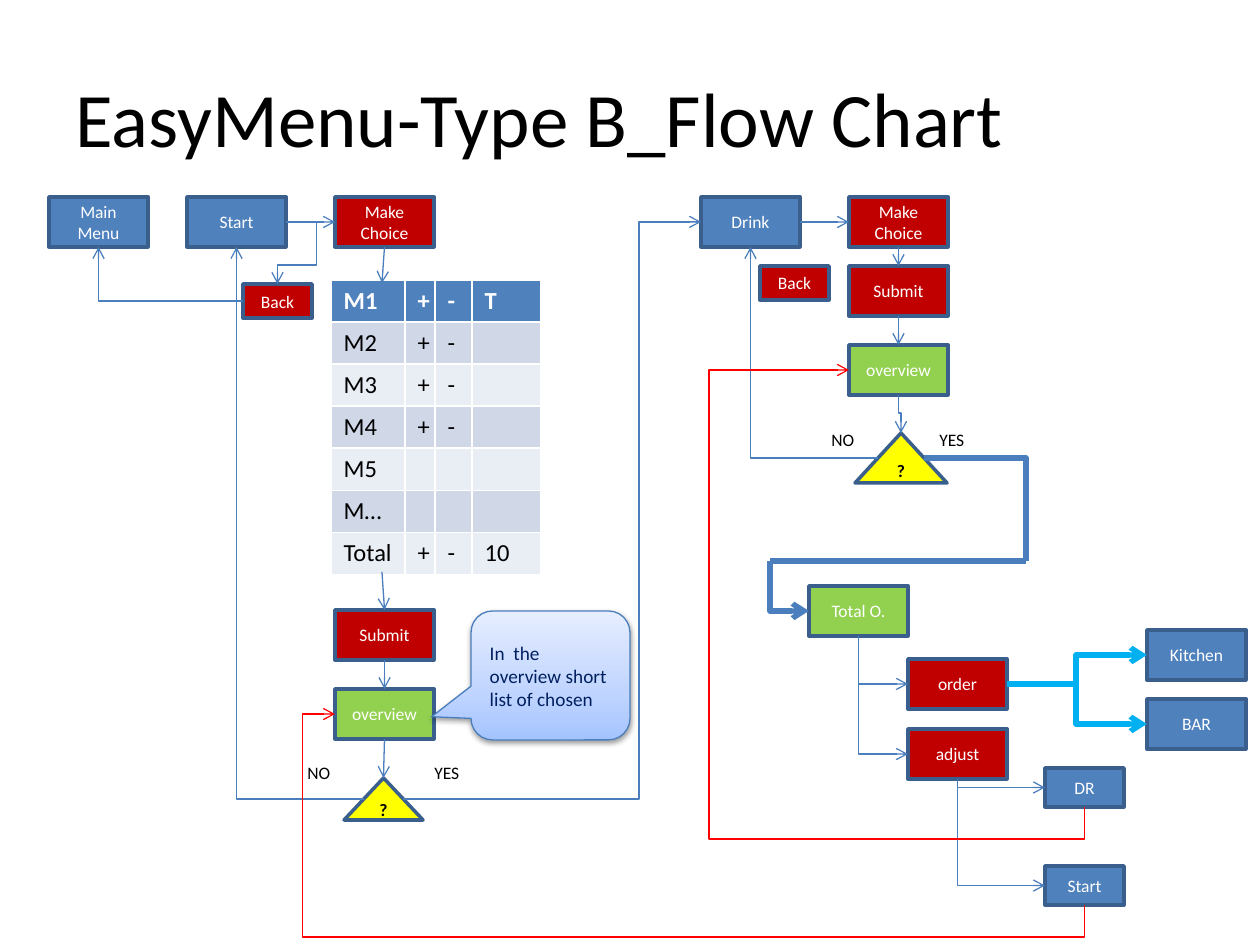
from lxml import etree
from pptx import Presentation
from pptx import util as u
from pptx.dml.color import RGBColor
from pptx.enum import shapes, text
from pptx.oxml import parse_xml
from pptx.oxml.ns import nsdecls, qn

PX = 914400 / 126
FONT = "Calibri"
BLUE, RED, GREEN, YELLOW = "4F81BD", "C00000", "92D050", "FFFF00"
EDGE, LINK, RETURN, SEND = "3A5F8C", "4B7EBC", "FF0000", "00B0F0"
WHITE, BLACK, NAVY = "FFFFFF", "000000", "002060"
BOX, BACK, SMALL = (99, 50), (69, 34), (79, 39)
RECT, TRIANGLE = shapes.MSO_SHAPE.RECTANGLE, shapes.MSO_SHAPE.ISOSCELES_TRIANGLE
SITES = {
    RECT: [(.5, 0), (0, .5), (.5, 1), (1, .5)],
    TRIANGLE: [(.5, 0), (.25, .5), (0, 1), (.5, 1), (1, 1), (.75, .5)],
}
# (first axis, goes left, goes up): rotation in degrees, flips
FRAMES = {
    ("h", False, False): (0, ()),
    ("h", True, False): (0, ("flipH",)),
    ("h", False, True): (0, ("flipV",)),
    ("h", True, True): (180, ()),
    ("v", True, False): (90, ()),
    ("v", False, False): (270, ("flipH",)),
    ("v", True, True): (90, ("flipH",)),
}


def emu(*lengths):
    return [u.Emu(round(n * PX)) for n in lengths]


def rgb(value):
    return RGBColor.from_string(value)


def write(tf, words, size, color, bold=False, align=text.PP_ALIGN.LEFT):
    tf.text = words
    for p in tf.paragraphs:
        p.alignment = align
        for r in p.runs:
            for name, value in dict(name=FONT, size=u.Pt(size), bold=bold).items():
                setattr(r.font, name, value)
            r.font.color.rgb = rgb(color)


def outline(shape, color, width):
    shape.line.color.rgb = rgb(color)
    shape.line.width = u.Pt(width)


def node(s, words, at, fill, size=BOX, kind=RECT, color=WHITE, bold=False):
    sp = s.shapes.add_shape(kind, *emu(*at, *size))
    sp.shadow.inherit = False
    sp.fill.solid()
    sp.fill.fore_color.rgb = rgb(fill)
    outline(sp, EDGE, 2)
    write(sp.text_frame, words, 10, color, bold, text.PP_ALIGN.CENTER)
    return sp


def decision(s, at, size):
    return node(s, "?", at, YELLOW, size, TRIANGLE, BLACK, True)


def label(s, words, at):
    tf = s.shapes.add_textbox(*emu(*at, *BACK)).text_frame
    tf.word_wrap = True
    write(tf, words, 10, BLACK)


def locate(end):
    """Turn a (shape, site) pair or a px point into an EMU point."""
    if isinstance(end[0], int):
        return emu(*end)
    sp, site = end
    fx, fy = SITES[sp.auto_shape_type][site]
    return [round(sp.left + fx * sp.width), round(sp.top + fy * sp.height)]


def bend(c, p, q, axis, bends):
    """Shape an elbow that leaves p along axis and turns at the given px bends."""
    dx, dy = q[0] - p[0], q[1] - p[1]
    turn, flips = FRAMES[axis, dx < 0, dy < 0]
    w, h = (abs(dx), abs(dy)) if axis == "h" else (abs(dy), abs(dx))
    xfrm = c._element.spPr.find(qn("a:xfrm"))
    xfrm.attrib.clear()
    if turn:
        xfrm.set("rot", str(turn * 60000))
    for flip in flips:
        xfrm.set(flip, "1")
    c.left, c.top = (p[0] + q[0] - w) // 2, (p[1] + q[1] - h) // 2
    c.width, c.height = w, h
    geom = c._element.spPr.find(qn("a:prstGeom"))
    geom.set("prst", f"bentConnector{len(bends) + 2}")
    first = "hv".index(axis)
    for i, stop in enumerate(emu(*bends)):
        k = (first + i) % 2
        ratio = round((stop - p[k]) / (q[k] - p[k]) * 100000)
        etree.SubElement(geom.find(qn("a:avLst")), qn("a:gd"),
                         name=f"adj{i + 1}", fmla=f"val {ratio}")


def link(s, start, end, axis=None, bends=(), color=LINK, width=0.75, arrow=True):
    p, q = locate(start), locate(end)
    kind = shapes.MSO_CONNECTOR.ELBOW if axis else shapes.MSO_CONNECTOR.STRAIGHT
    c = s.shapes.add_connector(kind, *p, *q)
    for join, target in ((c.begin_connect, start), (c.end_connect, end)):
        if not isinstance(target[0], int):
            join(*target)
    if axis:
        bend(c, p, q, axis, bends)
    outline(c, color, width)
    if arrow:
        etree.SubElement(c.line._get_or_add_ln(), qn("a:tailEnd"), type="arrow")
    etree.SubElement(c._element.spPr, qn("a:effectLst"))


def order_table(s, at):
    rows = ["M1 + - T", "M2 + -", "M3 + -", "M4 + -", "M5", "M…", "Total + - 10"]
    widths, height = (74, 30, 37, 69), 42
    frame = s.shapes.add_table(len(rows), len(widths),
                               *emu(*at, sum(widths), height * len(rows)))
    table = frame.table
    for column, width in zip(table.columns, emu(*widths)):
        column.width = width
    for i, row in enumerate(rows):
        words = row.split()
        fill = BLUE if i == 0 else ("E9EDF4", "D0D8E8")[i % 2]
        for j, cell in enumerate(table.rows[i].cells):
            cell.fill.solid()
            cell.fill.fore_color.rgb = rgb(fill)
            if j < len(words):
                write(cell.text_frame, words[j], 14, BLACK if i else WHITE, i == 0)
            else:
                p = cell.text_frame.paragraphs[0]
                etree.SubElement(p._p, qn("a:endParaRPr"), sz="1400")


def callout(s, words, at, size):
    sp = s.shapes.add_shape(shapes.MSO_SHAPE.ROUNDED_RECTANGULAR_CALLOUT, *emu(*at, *size))
    for i, value in enumerate((-0.748, 0.32, 0.167)):
        sp.adjustments[i] = value
    outline(sp, LINK, 0.75)
    sp.fill.background()
    stops = "".join(f'<a:gs pos="{pos}000"><a:srgbClr val="{color}"/></a:gs>'
                    for pos, color in ((0, "A4C4FF"), (35, "BFD4FF"), (100, "E6EEFF")))
    props = sp._element.spPr
    props.replace(props.find(qn("a:noFill")), parse_xml(
        f'<a:gradFill {nsdecls("a")}><a:gsLst>{stops}</a:gsLst>'
        '<a:lin ang="16200000" scaled="0"/></a:gradFill>'))
    sp.shadow.inherit = False
    props.find(qn("a:effectLst")).append(parse_xml(
        f'<a:outerShdw {nsdecls("a")} blurRad="40000" dist="20000" dir="5400000" rotWithShape="0">'
        '<a:srgbClr val="000000"><a:alpha val="38000"/></a:srgbClr></a:outerShdw>'))
    write(sp.text_frame, words, 11, NAVY)


def food_flow(s):
    main_menu = node(s, "Main\nMenu", (49, 197), BLUE)
    start = node(s, "Start", (187, 197), BLUE)
    choice = node(s, "Make\nChoice", (335, 197), RED)
    back = node(s, "Back", (243, 284), RED, BACK)
    submit = node(s, "Submit", (335, 610), RED)
    overview = node(s, "overview", (335, 689), GREEN)
    check = decision(s, (344, 778), (79, 42))
    label(s, "NO", (295, 756))
    label(s, "YES", (422, 756))
    order_table(s, (331, 280))
    link(s, (start, 3), (choice, 1))
    link(s, (choice, 2), (382, 283))
    link(s, (382, 572), (submit, 0))
    link(s, (submit, 2), (overview, 0))
    link(s, (overview, 2), (check, 0))
    link(s, (check, 1), (start, 2), "h")
    link(s, (start, 3), (back, 0), "h", (317, 265))
    link(s, (back, 1), (main_menu, 2), "h")
    callout(s, "In  the overview short list of chosen", (471, 611), (159, 129))
    return overview


def drink_flow(s):
    drink = node(s, "Drink", (701, 197), BLUE)
    choice = node(s, "Make\nChoice", (849, 197), RED)
    node(s, "Back", (760, 266), RED, BACK)
    submit = node(s, "Submit", (849, 266), RED)
    overview = node(s, "overview", (849, 345), GREEN)
    check = decision(s, (855, 433), (92, 50))
    label(s, "NO", (819, 423))
    label(s, "YES", (927, 423))
    link(s, (drink, 3), (choice, 1))
    link(s, (choice, 2), (submit, 0))
    link(s, (submit, 2), (overview, 0))
    link(s, (overview, 2), (check, 0), "v", (413,))
    link(s, (check, 1), (drink, 2), "h")
    link(s, (403, 799), (drink, 1), "h", (639,))
    return overview


def total_flow(s, food_overview, drink_overview):
    total = node(s, "Total O.", (809, 586), GREEN)
    order = node(s, "order", (908, 659), RED)
    adjust = node(s, "adjust", (908, 729), RED)
    drinks = node(s, "DR", (1045, 768), BLUE, SMALL)
    restart = node(s, "Start", (1045, 866), BLUE, SMALL)
    link(s, (924, 458), (1026, 561), "h", width=3, arrow=False)
    link(s, (1026, 561), (770, 561), width=3, arrow=False)
    link(s, (770, 561), (total, 1), "v", width=3)
    for source, target in ((total, order), (total, adjust), (adjust, drinks), (adjust, restart)):
        link(s, (source, 2), (target, 1), "v")
    for words, y in (("Kitchen", 630), ("BAR", 699)):
        place = node(s, words, (1147, y), BLUE)
        link(s, (order, 3), (place, 1), "h", (1076,), SEND, 3)
    link(s, (restart, 2), (food_overview, 1), "v", (937, 303), RETURN)
    link(s, (drinks, 2), (drink_overview, 1), "v", (839, 709), RETURN)


def main():
    prs = Presentation()
    prs.slide_width, prs.slide_height = emu(1260, 945)
    s = prs.slides.add_slide(prs.slide_layouts[5])
    title = s.shapes.title
    title.left, title.top, title.width, title.height = emu(63, 38, 1134, 158)
    title.text_frame.vertical_anchor = text.MSO_ANCHOR.MIDDLE
    write(title.text_frame, "EasyMenu-Type B_Flow Chart", 44, BLACK)
    total_flow(s, food_flow(s), drink_flow(s))
    prs.save("out.pptx")


if __name__ == "__main__":
    main()
